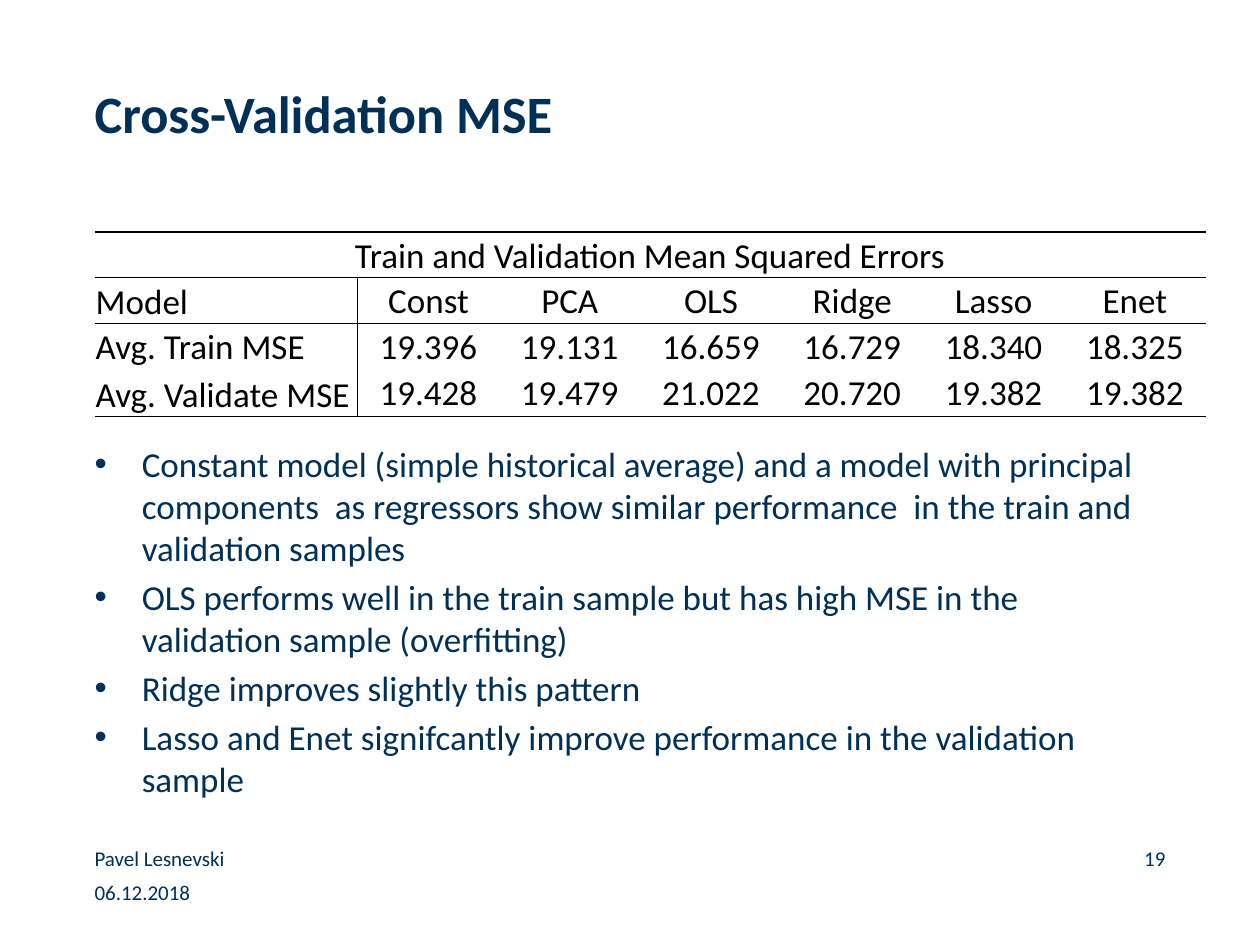
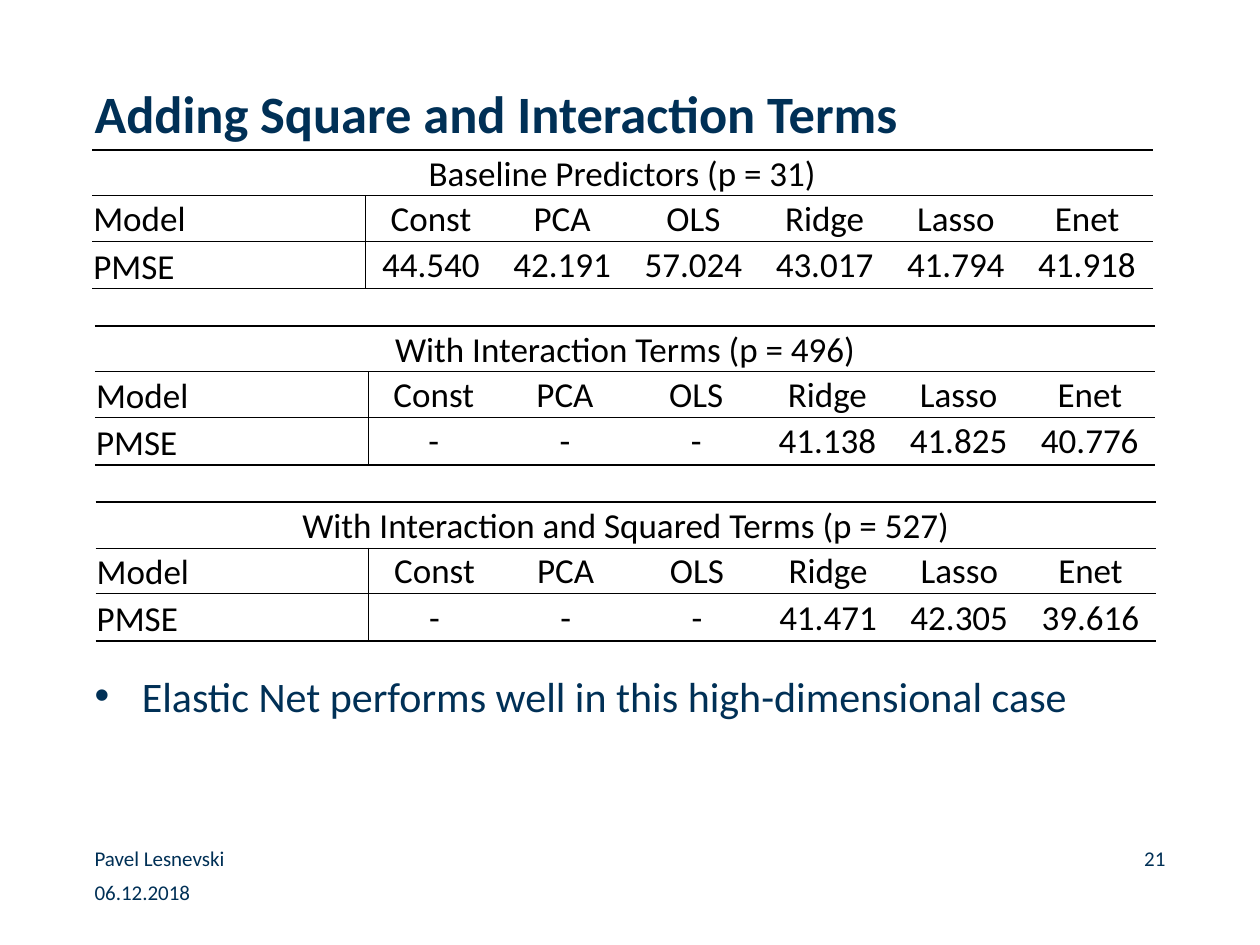
from dataclasses import dataclass

from lxml import etree
from pptx import Presentation
from pptx.dml.color import RGBColor
from pptx.enum.text import MSO_ANCHOR, MSO_AUTO_SIZE, PP_ALIGN
from pptx.oxml.ns import qn
from pptx.util import Pt

TOP, MIDDLE, BOTTOM = MSO_ANCHOR.TOP, MSO_ANCHOR.MIDDLE, MSO_ANCHOR.BOTTOM
LEFT, CENTER, RIGHT = PP_ALIGN.LEFT, PP_ALIGN.CENTER, PP_ALIGN.RIGHT
NO_AUTOFIT = MSO_AUTO_SIZE.NONE

# Shared look
COLORS = {"navy": "003056", "black": "000000"}
FONT = "Calibri"
MARGIN = 54
CONTENT_WIDTH = 612
AUTHOR = "Pavel Lesnevski"
DATE = "06.12.2018"
MODELS = ["Const", "PCA", "OLS", "Ridge", "Lasso", "Enet"]
ROW_HEIGHT, LAST_ROW_HEIGHT = 26.2, 27
THICK, THIN = 1, 0.5


@dataclass(frozen=True)
class Box:
    left: float
    top: float
    width: float
    height: float


@dataclass(frozen=True)
class ErrorTable:
    left: float
    top: float
    spacer: float
    label_width: float
    value_width: float
    caption: str
    results: list[list[str]]


@dataclass(frozen=True)
class ResultSlide:
    title: str
    title_width: float
    number: str
    tables: list[ErrorTable]
    bullets: list[str]
    bullet_size: float
    bullet_box: Box


SLIDES = [
    ResultSlide(
        "Cross-Validation MSE", 431.3, "19",
        [ErrorTable(MARGIN, 116.7, 15.8, 150.5, 80.75,
                    "Train and Validation Mean Squared Errors",
                    [["Avg. Train MSE", "19.396", "19.131", "16.659",
                      "16.729", "18.340", "18.325"],
                     ["Avg. Validate MSE", "19.428", "19.479", "21.022",
                      "20.720", "19.382", "19.382"]])],
        ["Constant model (simple historical average) and a model with "
         "principal components  as regressors show similar performance  "
         "in the train and validation samples",
         "OLS performs well in the train sample but has high MSE in the "
         "validation sample (overfitting)",
         "Ridge improves slightly this pattern",
         "Lasso and Enet signifcantly improve performance in the "
         "validation sample"],
        20, Box(MARGIN, 252.7, CONTENT_WIDTH, 224.6)),
    ResultSlide(
        "Adding Square and Interaction Terms", 465.1, "21",
        [ErrorTable(52.6, 69.8, 15.8, 156.2, 75,
                    "Baseline Predictors (p = 31)",
                    [["PMSE", "44.540", "42.191", "57.024",
                      "43.017", "41.794", "41.918"]]),
         ErrorTable(54.2, 159.1, 27.2, 156.2, 75,
                    "With Interaction Terms (p = 496)",
                    [["PMSE", "-", "-", "-", "41.138", "41.825", "40.776"]]),
         ErrorTable(54.6, 271.2, 15.8, 156.2, 75,
                    "With Interaction and Squared Terms (p = 527)",
                    [["PMSE", "-", "-", "-", "41.471", "42.305", "39.616"]])],
        ["Elastic Net performs well in this high-dimensional case"],
        24, Box(MARGIN, 383, CONTENT_WIDTH, 50.4)),
]


def place(sp, box: Box) -> None:
    sp.left, sp.top = Pt(box.left), Pt(box.top)
    sp.width, sp.height = Pt(box.width), Pt(box.height)


def style(p, size: float, color: str, align=LEFT, bold: bool = False) -> None:
    p.alignment = align
    p.font.name, p.font.size, p.font.bold = FONT, Pt(size), bold
    p.font.color.rgb = RGBColor.from_string(COLORS[color])


def write(sp, lines: list[str], size: float, align=LEFT,
          bold: bool = False) -> None:
    """Fill a shape with navy paragraphs, without insets."""
    tf = sp.text_frame
    tf.auto_size, tf.word_wrap, tf.vertical_anchor = NO_AUTOFIT, True, TOP
    tf.margin_left = tf.margin_right = tf.margin_top = tf.margin_bottom = 0
    tf.text = "\n".join(lines)
    for p in tf.paragraphs:
        style(p, size, "navy", align, bold)


def add_footer(slide, number: str) -> None:
    for text, box, align in (
            (DATE, Box(MARGIN, 502.6, 168, 14.4), LEFT),
            (AUTHOR, Box(MARGIN, 483.1, 228, 14.4), LEFT),
            (number, Box(583.2, 483.1, 82.8, 14.4), RIGHT)):
        sp = slide.shapes.add_textbox(0, 0, 0, 0)
        place(sp, box)
        write(sp, [text], 12, align)


def set_borders(cell, widths: list[float]) -> None:
    """Set left, right, top and bottom lines; zero means no line."""
    tc_pr = cell._tc.get_or_add_tcPr()
    for i, (side, width) in enumerate(zip("LRTB", widths)):
        ln = etree.Element(qn(f"a:ln{side}"), w=str(int(Pt(width))))
        if width:
            fill = etree.SubElement(ln, qn("a:solidFill"))
            etree.SubElement(fill, qn("a:srgbClr"), val=COLORS["black"])
        else:
            etree.SubElement(ln, qn("a:noFill"))
        tc_pr.insert(i, ln)


def add_error_table(slide, spec_: ErrorTable) -> None:
    blank = [""] * len(MODELS)
    rows = [["", *blank], [spec_.caption, *blank], ["Model", *MODELS],
            *spec_.results]
    heights = [spec_.spacer, *[ROW_HEIGHT] * (len(rows) - 2), LAST_ROW_HEIGHT]
    widths = [spec_.label_width, *[spec_.value_width] * len(MODELS)]
    # Horizontal rules, one for each row boundary
    rules = [0, THICK, THIN, THIN, *[0] * (len(rows) - 4), THICK]

    table = slide.shapes.add_table(
        len(rows), len(widths), Pt(spec_.left), Pt(spec_.top),
        Pt(sum(widths)), Pt(sum(heights))).table
    table.first_row = table.horz_banding = False
    for column, width in zip(table.columns, widths):
        column.width = Pt(width)
    for row, height in zip(table.rows, heights):
        row.height = Pt(height)

    for r, texts in enumerate(rows):
        for c, text in enumerate(texts):
            cell = table.cell(r, c)
            cell.fill.background()
            cell.margin_left = cell.margin_right = cell.margin_top = Pt(0.7)
            cell.margin_bottom = 0
            cell.vertical_anchor = MIDDLE if c else BOTTOM
            cell.text = text
            p = cell.text_frame.paragraphs[0]
            style(p, 20 if r else 10, "black",
                  CENTER if c or r == 1 else LEFT)
            if not text:
                etree.SubElement(p._p, qn("a:endParaRPr"), sz="1000")
            divider = THIN if r > 1 else 0
            set_borders(cell, [divider if c == 1 else 0,
                               divider if c == 0 else 0,
                               rules[r], rules[r + 1]])
    table.cell(1, 0).merge(table.cell(1, len(MODELS)))


def add_result_slide(prs, content: ResultSlide) -> None:
    slide = prs.slides.add_slide(prs.slide_layouts[1])
    title, body = slide.placeholders
    place(title, Box(MARGIN, 46.1, content.title_width, 90))
    write(title, [content.title], 30, bold=True)
    place(body, content.bullet_box)
    write(body, content.bullets, content.bullet_size)
    add_footer(slide, content.number)
    for table in content.tables:
        add_error_table(slide, table)


def main() -> None:
    prs = Presentation()
    prs.slide_width, prs.slide_height = Pt(720), Pt(540)
    for content in SLIDES:
        add_result_slide(prs, content)
    prs.save("out.pptx")


if __name__ == "__main__":
    main()
